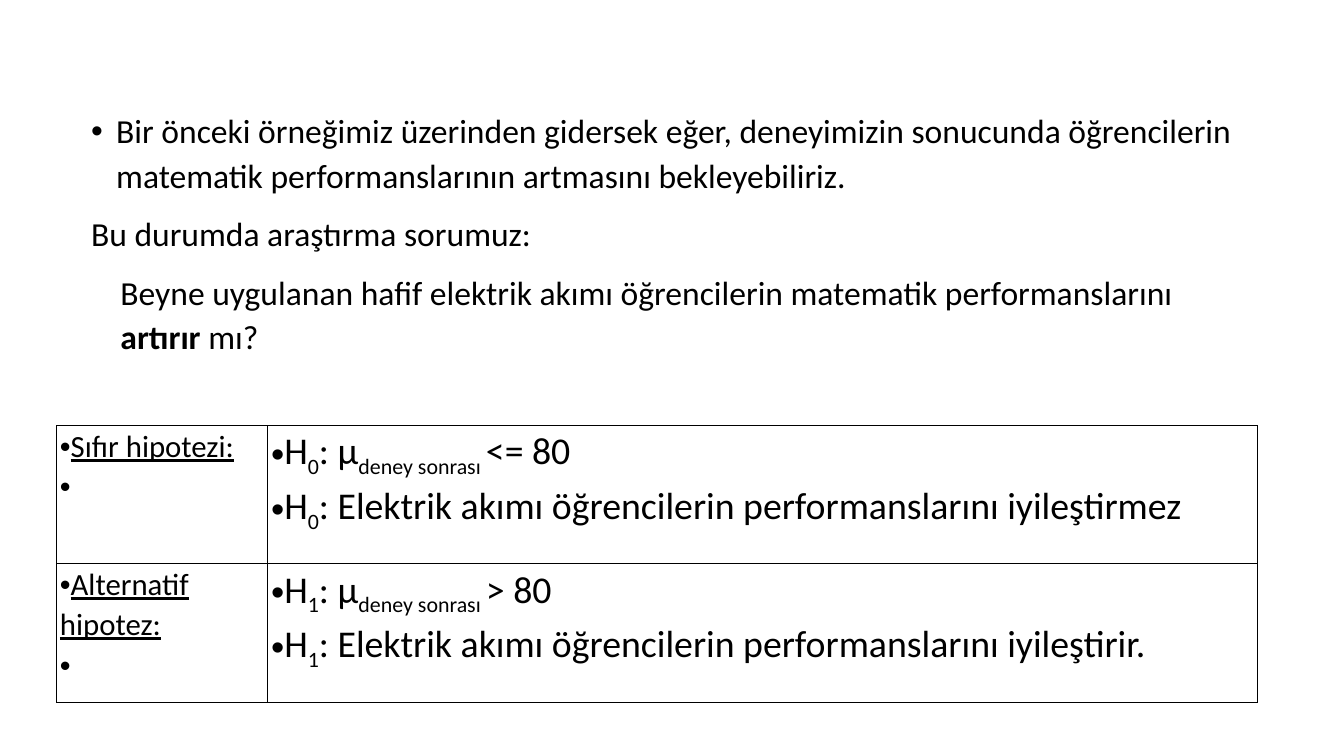
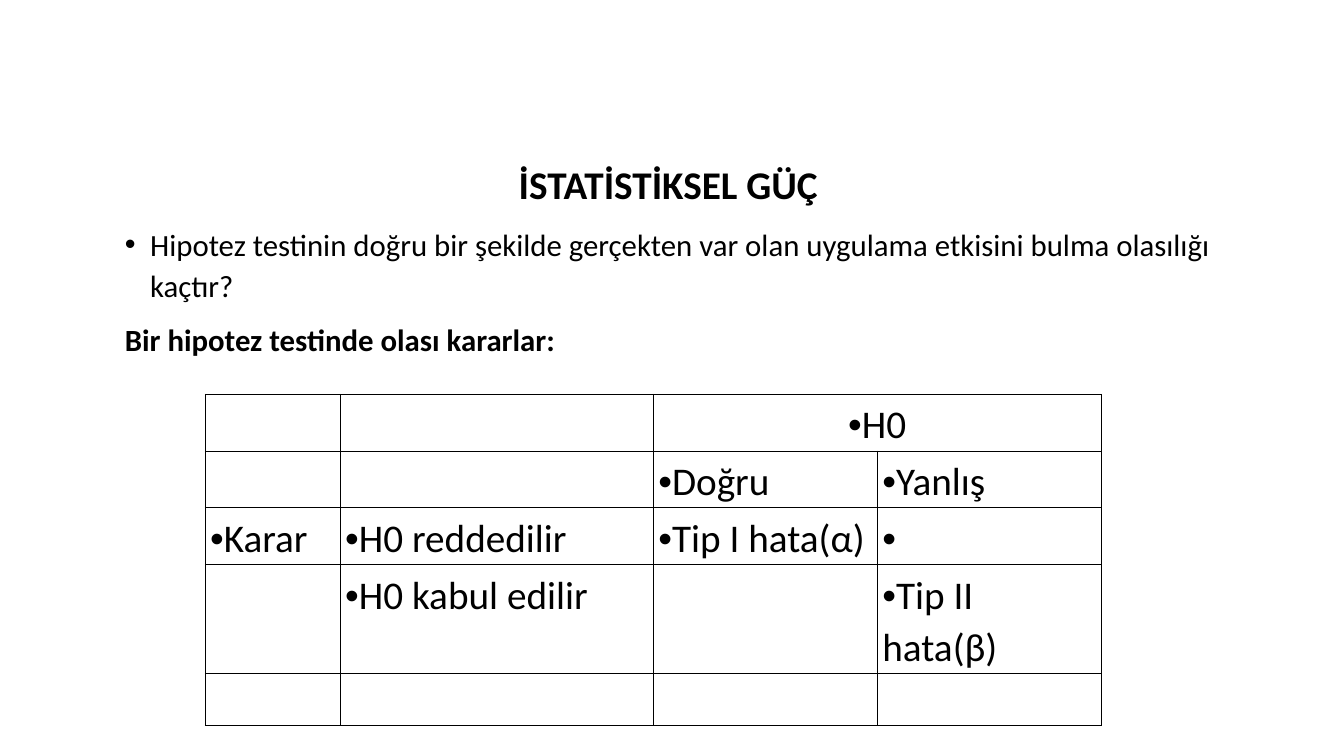
from lxml import etree
from pptx import Presentation
from pptx.dml.color import RGBColor
from pptx.enum.text import MSO_ANCHOR, MSO_AUTO_SIZE, PP_ALIGN
from pptx.oxml.ns import qn
from pptx.util import Pt

TOP = MSO_ANCHOR.TOP
GROW, FIXED = MSO_AUTO_SIZE.SHAPE_TO_FIT_TEXT, MSO_AUTO_SIZE.NONE
LEFT, CENTER = PP_ALIGN.LEFT, PP_ALIGN.CENTER

COLORS = {"text": "000000", "border": "000000"}
FONT = "Calibri"
TITLE_ONLY, BLANK = 5, 6
HANG = 36
PAD = 7.2


class Deck:
    """Holds the presentation, its text style and the current slide."""

    def __init__(self, width, height):
        self.prs = Presentation()
        self.prs.slide_width, self.prs.slide_height = Pt(width), Pt(height)
        self.s = None

    def new_slide(self, layout):
        self.s = self.prs.slides.add_slide(self.prs.slide_layouts[layout])

    def paragraph(self, tf, runs, size, first=True, bullet=False, margin=0,
                  indent=0, level=0, spacing=1.1, before=20, align=LEFT):
        """Write runs, each a text or (text, style), as one paragraph."""
        p = tf.paragraphs[0] if first else tf.add_paragraph()
        pPr = p._p.get_or_add_pPr()
        pPr.set("marL", str(Pt(margin)))
        pPr.set("indent", str(Pt(indent)))
        if bullet:
            etree.SubElement(pPr, qn("a:buFont")).set("typeface", "Arial")
            etree.SubElement(pPr, qn("a:buChar")).set("char", "•")
        else:
            etree.SubElement(pPr, qn("a:buNone"))
        p.level, p.alignment, p.line_spacing = level, align, spacing
        p.space_before = Pt(0 if first else before)
        for run in runs:
            text, style = (run, "") if isinstance(run, str) else run
            r = p.add_run()
            r.text = text
            r.font.name, r.font.size = FONT, Pt(size)
            r.font.color.rgb = RGBColor.from_string(COLORS["text"])
            r.font.bold = style == "bold"
            if style == "underline":
                r.font.underline = True
            if style == "sub":
                r.font._element.set("baseline", "-25000")

    def frame(self, sp, auto_size):
        tf = sp.text_frame
        tf.word_wrap, tf.auto_size, tf.vertical_anchor = True, auto_size, TOP
        tf.margin_left = tf.margin_right = Pt(PAD)
        tf.margin_top = tf.margin_bottom = Pt(PAD)
        return tf

    def title(self, text, left, top, width, height, size):
        sp = self.s.shapes.title
        sp.left, sp.top, sp.width, sp.height = map(Pt, (left, top, width, height))
        self.paragraph(self.frame(sp, FIXED), [(text, "bold")], size, align=CENTER)

    def body(self, left, top, width, height, size, paragraphs):
        """Add a text box; each paragraph is (runs, paragraph options)."""
        sp = self.s.shapes.add_textbox(*map(Pt, (left, top, width, height)))
        tf = self.frame(sp, GROW)
        for i, (runs, options) in enumerate(paragraphs):
            self.paragraph(tf, runs, size, first=i == 0, **options)

    def table(self, left, top, col_widths, row_height, n_rows):
        height = row_height * n_rows
        table = self.s.shapes.add_table(
            n_rows, len(col_widths),
            *map(Pt, (left, top, sum(col_widths), height))).table
        table.first_row = table.horz_banding = False
        for col, width in zip(table.columns, col_widths):
            col.width = Pt(width)
        for row in table.rows:
            row.height = Pt(row_height)
        for cell in table.iter_cells():
            self.borders(cell)
            cell.fill.background()
        return table

    def borders(self, cell):
        tcPr = cell._tc.get_or_add_tcPr()
        for side in ("lnL", "lnR", "lnT", "lnB"):
            ln = etree.SubElement(tcPr, qn(f"a:{side}"), w=str(Pt(1)))
            fill = etree.SubElement(ln, qn("a:solidFill"))
            etree.SubElement(fill, qn("a:srgbClr"), val=COLORS["border"])

    def cell(self, cell, paragraphs, size, margins=None, **options):
        if margins:
            side, edge = margins
            cell.margin_left = cell.margin_right = Pt(side)
            cell.margin_top = cell.margin_bottom = Pt(edge)
        for i, runs in enumerate(paragraphs):
            self.paragraph(cell.text_frame, runs, size, first=i == 0,
                           bullet=True, before=0, **options)


BULLET = {"bullet": True, "margin": HANG, "indent": -HANG}


def hypotheses_slide(deck):
    deck.new_slide(BLANK)
    deck.body(123, 144.7, 1673.3, 395.3, 48, [
        (["Bir önceki örneğimiz üzerinden gidersek eğer, deneyimizin sonucunda "
          "öğrencilerin matematik performanslarının artmasını bekleyebiliriz."],
         BULLET),
        (["Bu durumda araştırma sorumuz:"], {}),
        (["Beyne uygulanan hafif elektrik akımı öğrencilerin matematik "
          "performanslarını ", ("artırır", "bold"), " mı?"],
         {"level": 1, "margin": 42}),
    ])

    hypotheses = [
        ("Sıfır hipotezi:", "0", "<= 80", "iyileştirmez"),
        ("Alternatif hipotez:", "1", "> 80", "iyileştirir."),
    ]
    table = deck.table(80.6, 607.7, [301.7, 1414], 197.5, len(hypotheses))
    layout = {"margins": (5, 0), "spacing": 1.07}
    for row, (name, index, condition, verb) in enumerate(hypotheses):
        symbol = ["H", (index, "sub")]
        deck.cell(table.cell(row, 0), [[(name, "underline")], [" "]], 44, **layout)
        deck.cell(table.cell(row, 1), [
            symbol + [": μ", ("deney sonrası ", "sub"), condition],
            symbol + [f": Elektrik akımı öğrencilerin performanslarını {verb}"],
        ], 54, **layout)


def power_slide(deck):
    deck.new_slide(TITLE_ONLY)
    left, width = 171.4, 1566.7
    deck.title("İSTATİSTİKSEL GÜÇ", left, 214.6, width, 92, 56)
    deck.body(left, 310, width, 309, 44, [
        (["Hipotez testinin doğru bir şekilde gerçekten var olan uygulama "
          "etkisini bulma olasılığı kaçtır?"], BULLET),
        ([("Bir hipotez testinde olası kararlar:", "bold")], {}),
    ])

    decisions = [
        ["", "", "H0", ""],
        ["", "", "Doğru", "Yanlış"],
        ["Karar", "H0 reddedilir", "Tip I hata(α)", " "],
        ["", "H0 kabul edilir", "", "Tip II hata(β)"],
        ["", "", "", ""],
    ]
    table = deck.table(293, 563, [193, 447.3, 320, 320], 75, len(decisions))
    table.cell(0, 2).merge(table.cell(0, 3))
    for row, texts in enumerate(decisions):
        for col, text in enumerate(texts):
            if text:
                deck.cell(table.cell(row, col), [[text]], 56,
                          align=CENTER if row == 0 else LEFT)


def main():
    deck = Deck(1920, 1080)
    hypotheses_slide(deck)
    power_slide(deck)
    deck.prs.save("out.pptx")


if __name__ == "__main__":
    main()
